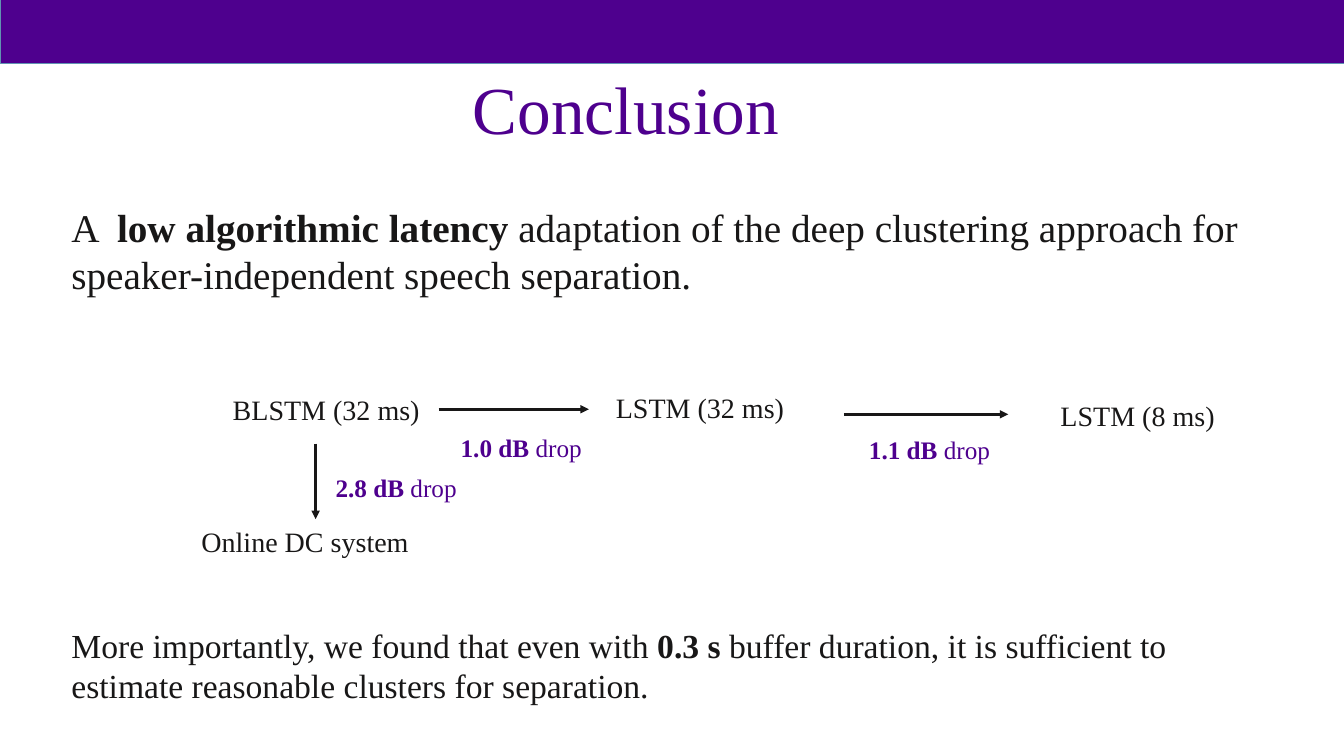
"""Build the conclusion slide on low-latency deep clustering."""
from dataclasses import dataclass
from typing import Optional

from pptx import Presentation
from pptx.dml.color import RGBColor
from pptx.enum.shapes import MSO_CONNECTOR, MSO_SHAPE
from pptx.enum.text import MSO_ANCHOR, PP_ALIGN
from pptx.oxml.ns import qn
from pptx.util import Inches, Pt
from lxml.etree import SubElement

COLORS = {"purple": "4E008E", "ink": "181717", "edge": "6094B2"}
FONT = "Times New Roman"


@dataclass
class Label:
    text: str
    left: float
    top: float
    width: float
    height: float = 0.44
    size: int = 20
    color: str = "ink"
    wrap: bool = True


@dataclass
class Arrow:
    x1: float
    y1: float
    x2: float
    y2: float
    source: Optional[str] = None


def drop(amount: str, left: float, top: float) -> Label:
    return Label(f"**{amount} dB** drop", left, top, 1.48, 0.4, 18, "purple", False)


LABELS = [
    Label("A  **low algorithmic latency** adaptation of the deep clustering approach "
          "for speaker-independent speech separation.", 0.61, 1.97, 12.27, 1.51, 28),
    Label("BLSTM (32 ms)", 2.21, 3.84, 2.14),
    Label("LSTM (32 ms)", 6.01, 3.83, 1.87),
    Label("LSTM (8 ms)", 10.42, 3.9, 2.14),
    drop("1.0", 4.47, 4.24),
    drop("1.1", 8.52, 4.26),
    drop("2.8", 3.23, 4.64),
    Label("Online DC system", 1.9, 5.15, 2.27, wrap=False),
    Label("More importantly, we found that even with **0.3 s** buffer duration, it is "
          "sufficient to estimate reasonable clusters for separation.",
          0.61, 6.15, 11.72, 0.91, 24),
]
ARROWS = [
    Arrow(4.35, 4.06, 5.84, 4.06, "BLSTM (32 ms)"),
    Arrow(8.37, 4.11, 10, 4.11),
    Arrow(3.13, 4.4, 3.13, 5.15),
]


def rgb(name: str) -> RGBColor:
    return RGBColor.from_string(COLORS[name])


def write(tf, text: str, *, size: int, color: str, align=None,
          spacing: Optional[float] = None) -> None:
    p = tf.paragraphs[0]
    p.alignment = align
    p.line_spacing = spacing
    for i, part in enumerate(text.split("**")):
        if part:
            r = p.add_run()
            r.text = part
            r.font.name = FONT
            r.font.size = Pt(size)
            r.font.bold = i % 2 == 1
            r.font.color.rgb = rgb(color)


def add_label(s, label: Label, anchor=MSO_ANCHOR.TOP, align=None,
              spacing: Optional[float] = None):
    sp = s.shapes.add_textbox(Inches(label.left), Inches(label.top),
                              Inches(label.width), Inches(label.height))
    tf = sp.text_frame
    tf.word_wrap = label.wrap
    tf.vertical_anchor = anchor
    write(tf, label.text, size=label.size, color=label.color,
          align=align, spacing=spacing)
    return sp


def add_arrow(s, arrow: Arrow, boxes: dict) -> None:
    cx = s.shapes.add_connector(MSO_CONNECTOR.STRAIGHT, Inches(arrow.x1), Inches(arrow.y1),
                                Inches(arrow.x2), Inches(arrow.y2))
    if arrow.source:
        cx.begin_connect(boxes[arrow.source], 3)
    cx.line.color.rgb = rgb("ink")
    cx.line.width = Pt(2)
    SubElement(cx.line._get_or_add_ln(), qn("a:tailEnd"), type="triangle")
    SubElement(cx._element.spPr, qn("a:effectLst"))


def add_banner(s) -> None:
    sp = s.shapes.add_shape(MSO_SHAPE.RECTANGLE, Inches(0), Inches(-0.02),
                            Inches(13.35), Inches(0.65))
    sp.shadow.inherit = False
    sp.fill.solid()
    sp.fill.fore_color.rgb = rgb("purple")
    sp.line.color.rgb = rgb("edge")
    sp.line.width = Pt(0.5)


def main() -> None:
    prs = Presentation()
    prs.slide_width, prs.slide_height = Inches(13.33), Inches(7.5)
    s = prs.slides.add_slide(prs.slide_layouts[6])
    title = Label("Conclusion", 0.46, 0.82, 11.5, 0.71, 48, "purple")
    add_label(s, title, MSO_ANCHOR.BOTTOM, PP_ALIGN.CENTER, 0.9)
    add_banner(s)
    boxes = {label.text: add_label(s, label) for label in LABELS}
    for arrow in ARROWS:
        add_arrow(s, arrow, boxes)
    prs.save("out.pptx")


if __name__ == "__main__":
    main()
